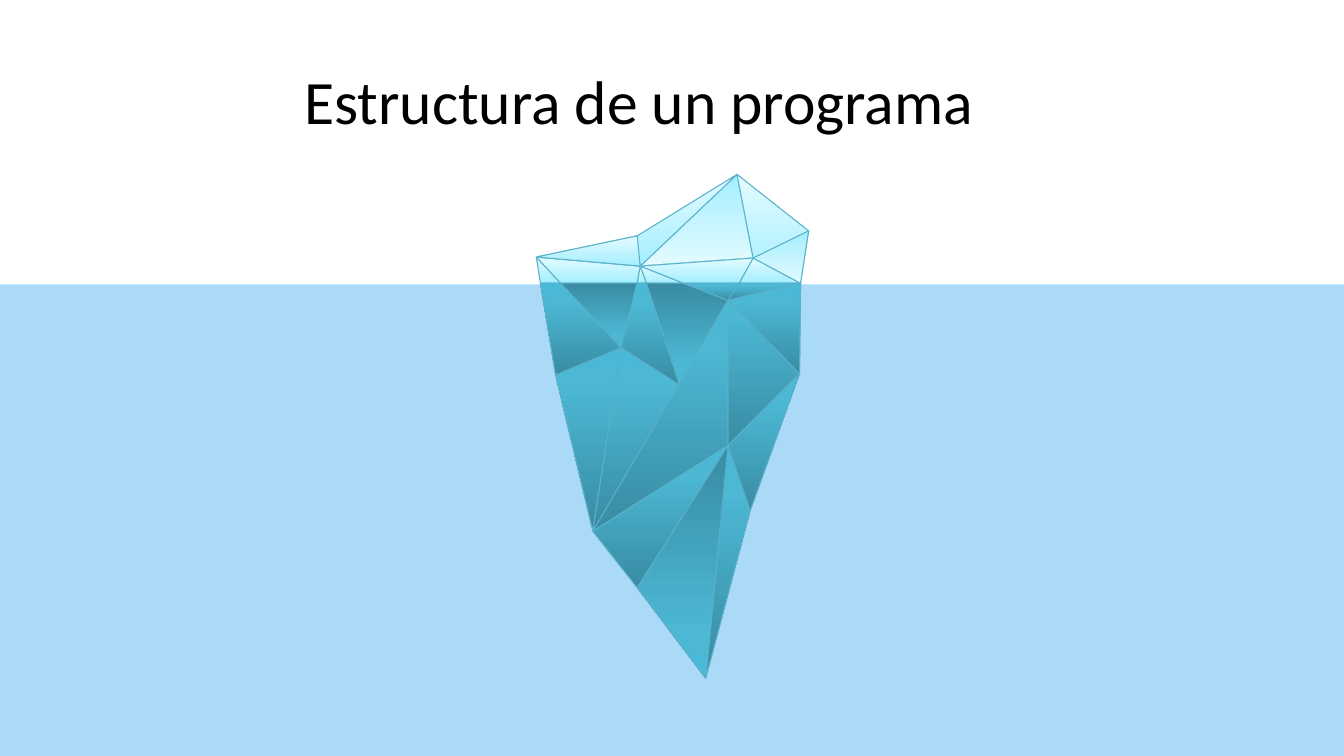
from lxml import etree
from pptx import Presentation
from pptx import util as u
from pptx.dml.color import RGBColor
from pptx.enum import shapes, text
from pptx.oxml import ns

COLORS = {"title": "000000", "sea": "0091EA", "edge": "5AB1C9"}
GRADIENTS = {
    "ice": [(0, "A1EFFF"), (35, "BBF2FF"), (100, "E3FCFF")],
    "deep": [(0, "398BA2"), (80, "4CB8D4"), (100, "4AB9D8")],
}
VERTICES = {
    "peak": (1.99, 0), "right": (2.7, 0.56), "left": (0, 0.82),
    "saddle": (1, 0.61), "notch": (1.03, 0.91), "ridge": (2.15, 0.83),
    "w1": (0.04, 1.08), "w2": (0.24, 1.08), "w3": (1, 1.08), "w4": (1.09, 1.08),
    "w5": (1.46, 1.08), "w6": (2.01, 1.08), "w7": (2.62, 1.08),
    "hub": (1.9, 1.25), "elbow": (2.61, 1.98), "core": (1.9, 2.69),
    "knee": (0.84, 1.72), "shoulder": (0.19, 1.99), "flank": (0.56, 3.54),
    "dent": (1.42, 2.09), "hip": (2.12, 3.34), "toe": (1, 4.1), "foot": (1.68, 5),
}
FACETS = [
    ("ice", 270, "w7 left w2"),
    ("ice", 90, "peak notch ridge"),
    ("ice", 270, "peak right w7 ridge"),
    ("ice", 270, "left w2 w1"),
    ("ice", 270, "notch w3 w2 left"),
    ("ice", 270, "peak notch left saddle"),
    ("ice", 270, "ridge w7 w6"),
    ("ice", 270, "w4 notch w5"),
    ("ice", 270, "saddle notch left"),
    ("ice", 90, "right ridge w7"),
    ("ice", 270, "w4 notch w3"),
    ("deep", 270, "w7 elbow core hub"),
    ("deep", 270, "knee flank shoulder"),
    ("deep", 90, "w3 knee w2"),
    ("deep", 270, "core hip foot"),
    ("deep", 270, "w7 hub w6"),
    ("deep", 90, "dent w4 w5 hub"),
    ("deep", 270, "dent knee flank"),
    ("deep", 270, "hub flank core"),
    ("deep", 270, "w2 knee shoulder w1"),
    ("deep", 270, "w7 hub elbow"),
    ("deep", 270, "knee dent w4 w3"),
    ("deep", 270, "flank core toe"),
    ("deep", 90, "toe foot core"),
    ("deep", 270, "elbow hip core"),
    ("ice", 270, "notch ridge w6 w5"),
    ("deep", 270, "hub w6 w5"),
]


def rgb(name):
    return RGBColor.from_string(COLORS[name])


def fill_gradient(facet, stops, angle):
    facet.fill.gradient()
    gradient = facet.fill._xPr.find(ns.qn("a:gradFill"))
    stop_list = gradient.find(ns.qn("a:gsLst"))
    for default_stop in list(stop_list):
        stop_list.remove(default_stop)
    for percent, color in stops:
        stop = etree.SubElement(stop_list, ns.qn("a:gs"), pos=str(percent * 1000))
        etree.SubElement(stop, ns.qn("a:srgbClr"), val=color)
    gradient.find(ns.qn("a:lin")).set("ang", str(angle * 60000))


def add_title(slide, left, top, width, height):
    title = slide.shapes.add_textbox(*map(u.Inches, (left, top, width, height)))
    frame = title.text_frame
    frame.word_wrap = True
    frame.vertical_anchor = text.MSO_ANCHOR.BOTTOM
    frame.margin_left = frame.margin_right = u.Inches(0.1)
    frame.margin_top = frame.margin_bottom = u.Inches(0.1)
    heading = frame.paragraphs[0]
    heading.line_spacing = 0.9
    run = heading.add_run()
    run.text = "Estructura de un programa"
    run.font.size = u.Pt(44)
    run.font.name = "Calibri"
    run.font.color.rgb = rgb("title")


def add_sea(slide, left, top, width, height):
    sea = slide.shapes.add_shape(
        shapes.MSO_SHAPE.RECTANGLE, *map(u.Inches, (left, top, width, height)))
    sea.shadow.inherit = False
    sea.line.fill.background()
    sea.fill.solid()
    sea.fill.fore_color.rgb = rgb("sea")
    color = sea.fill._xPr.find(ns.qn("a:solidFill"))[0]
    etree.SubElement(color, ns.qn("a:alpha"), val="33000")


def add_iceberg(slide, left, top):
    iceberg = slide.shapes.add_group_shape()
    for zone, angle, corners in FACETS:
        points = [(u.Inches(left + VERTICES[name][0]), u.Inches(top + VERTICES[name][1]))
                  for name in corners.split()]
        outline = iceberg.shapes.build_freeform(*points[0])
        outline.add_line_segments(points[1:], close=True)
        facet = outline.convert_to_shape()
        facet.shadow.inherit = False
        fill_gradient(facet, GRADIENTS[zone], angle)
        facet.line.color.rgb = rgb("edge")
        facet.line.width = u.Pt(0.75)


def main():
    deck = Presentation()
    deck.slide_width = u.Inches(13.33)
    deck.slide_height = u.Inches(7.5)
    slide = deck.slides.add_slide(deck.slide_layouts[6])
    add_title(slide, 2.92, 0.45, 8.28, 1.02)
    add_sea(slide, 0, 2.82, 13.33, 4.68)
    add_iceberg(slide, 5.32, 1.73)
    deck.save("out.pptx")


if __name__ == "__main__":
    main()
